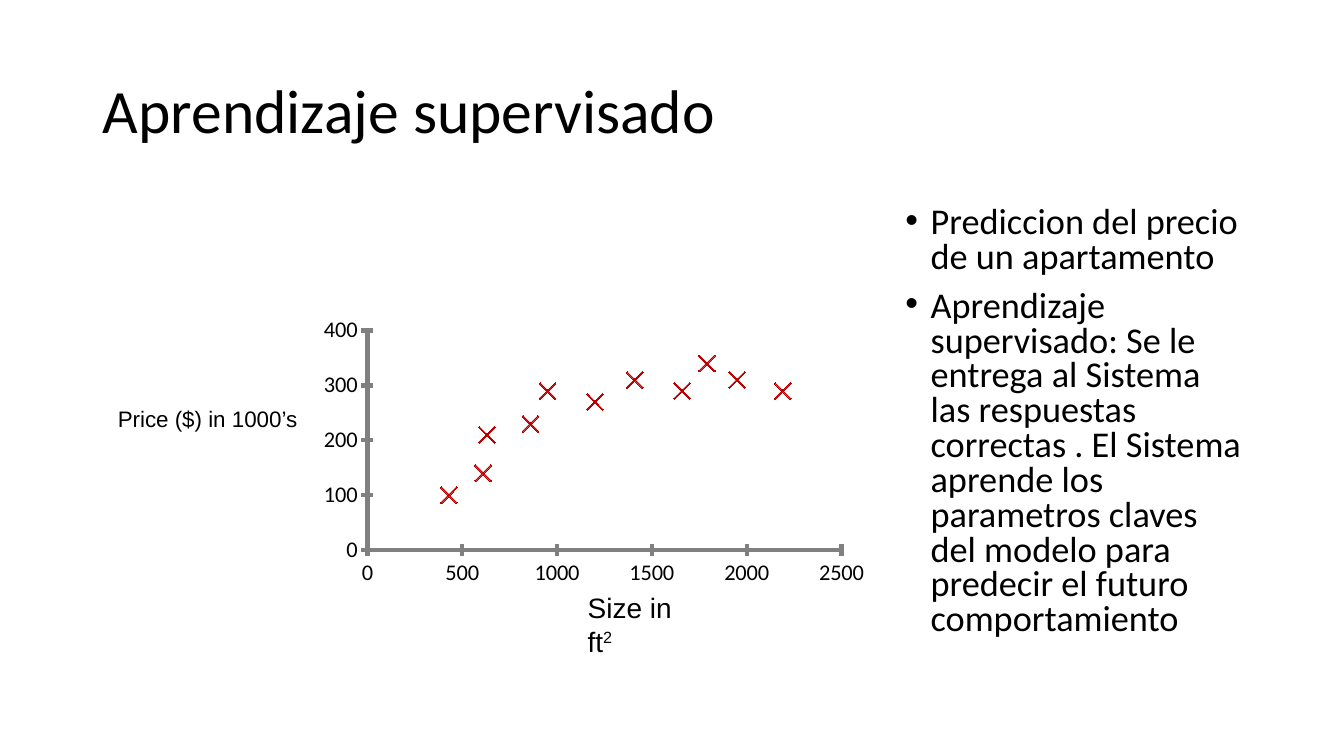
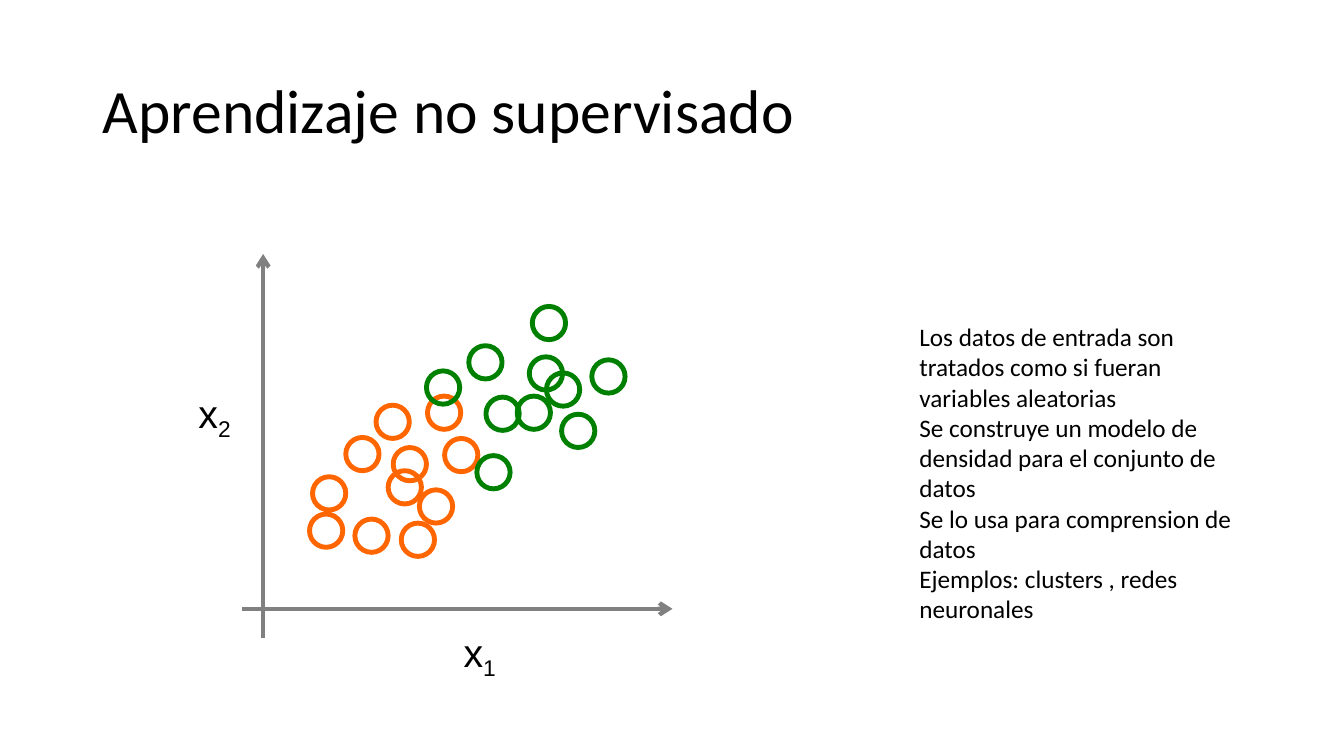
from dataclasses import dataclass

import lxml.etree
import pptx
import pptx.chart.axis
import pptx.chart.data
import pptx.dml.color
import pptx.enum.chart
import pptx.enum.dml
import pptx.enum.shapes
import pptx.enum.text
import pptx.oxml
import pptx.oxml.ns
import pptx.presentation
import pptx.shapes.base
import pptx.slide
import pptx.text.text
import pptx.util

PX = 9144  # EMU per px: 100 px to the inch
BLACK, GREY, RED = "000000", "808080", "C00000"
ORANGE, GREEN = "FF6600", "008000"
HEADING_FONT, LABEL_FONT = "Calibri", "Arial"
CIRCLE_SIZE = 33
TITLE_ONLY, TITLE_AND_BODY = 5, 1


@dataclass(frozen=True)
class Frame:
    left: int
    top: int
    width: int
    height: int

    def emu(self) -> tuple[int, int, int, int]:
        return self.left * PX, self.top * PX, self.width * PX, self.height * PX


@dataclass(frozen=True)
class Style:
    size: float
    font: str = HEADING_FONT
    color: str = BLACK


@dataclass(frozen=True)
class Label:
    frame: Frame
    style: Style
    text: str
    script: str = ""
    baseline: int = 0  # percent: above zero raised, below zero lowered


@dataclass(frozen=True)
class Cluster:
    color: str
    corners: tuple[tuple[int, int], ...]


@dataclass(frozen=True)
class Arrow:
    start: tuple[int, int]
    end: tuple[int, int]


TITLE_FRAME = Frame(92, 40, 1150, 145)
TITLE_STYLE = Style(44)
BODY_FRAME = Frame(888, 200, 354, 476)
BODY_STYLE = Style(25.9)
BODY_INDENT = 25
NOTES_FRAME = Frame(902, 314, 339, 343)
NOTES_STYLE = Style(18)
CHART_FRAME = Frame(282, 309, 606, 287)
PLOT_AREA = {"x": 0.136, "y": 0.066, "w": 0.776, "h": 0.759}

APARTMENTS = (
    (430, 100), (610, 140), (630, 210), (860, 230), (950, 290), (1200, 270),
    (1410, 310), (1660, 290), (1790, 340), (1950, 310), (2190, 290),
)
CHART_LABELS = (
    Label(Frame(107, 397, 200, 37), Style(16, LABEL_FONT), "Price ($) in 1000’s"),
    Label(Frame(573, 581, 117, 40), Style(20, LABEL_FONT), "Size in ft", "2", 30),
)
AXIS_LABELS = (
    Label(Frame(450, 618, 54, 57), Style(28, LABEL_FONT), "x", "1", -25),
    Label(Frame(187, 381, 54, 57), Style(28, LABEL_FONT), "x", "2", -25),
)
AXIS_ARROWS = (
    Arrow((261, 633), (261, 252)),
    Arrow((240, 604), (667, 604)),
)
CLUSTERS = (
    Cluster(ORANGE, (
        (310, 473), (385, 467), (352, 515), (343, 434), (390, 444), (416, 486),
        (373, 402), (441, 435), (398, 519), (424, 393), (307, 510),
    )),
    Cluster(GREEN, (
        (513, 393), (525, 354), (587, 357), (528, 304), (542, 370), (557, 411),
        (482, 394), (473, 452), (423, 368), (465, 343),
    )),
)
BULLETS = (
    "Prediccion del precio de un apartamento",
    "Aprendizaje supervisado: Se le entrega al Sistema las respuestas correctas . "
    "El Sistema aprende los parametros claves del modelo para predecir el futuro "
    "comportamiento",
)
NOTES = (
    "Los datos de entrada son",
    "tratados como si fueran variables aleatorias",
    "Se construye un modelo de densidad para el conjunto de datos",
    "Se lo usa para comprension de datos",
    "Ejemplos: clusters , redes neuronales",
)


def rgb(color: str) -> pptx.dml.color.RGBColor:
    return pptx.dml.color.RGBColor.from_string(color)


def place(shape: pptx.shapes.base.BaseShape, frame: Frame) -> None:
    shape.left, shape.top, shape.width, shape.height = frame.emu()


def style_font(font: pptx.text.text.Font, style: Style) -> None:
    font.size = pptx.util.Pt(style.size)
    font.name = style.font
    font.color.rgb = rgb(style.color)


def add_span(para, text: str, style: Style, baseline: int = 0) -> None:
    span = para.add_run()
    span.text = text
    style_font(span.font, style)
    if baseline:
        span._r.get_or_add_rPr().set("baseline", str(baseline * 1000))


def add_paragraphs(text_frame, texts: tuple[str, ...], style: Style) -> list:
    """Fill an empty text frame, one paragraph per text."""
    paras = []
    for index, text in enumerate(texts):
        para = text_frame.add_paragraph() if index else text_frame.paragraphs[0]
        add_span(para, text, style)
        paras.append(para)
    return paras


def add_titled_page(
    deck: pptx.presentation.Presentation, layout: int, title: str
) -> pptx.slide.Slide:
    page = deck.slides.add_slide(deck.slide_layouts[layout])
    box = page.shapes.title
    place(box, TITLE_FRAME)
    box.text_frame.vertical_anchor = pptx.enum.text.MSO_ANCHOR.MIDDLE
    box.text_frame.auto_size = pptx.enum.text.MSO_AUTO_SIZE.NONE
    (para,) = add_paragraphs(box.text_frame, (title,), TITLE_STYLE)
    para.alignment = pptx.enum.text.PP_ALIGN.LEFT
    para.line_spacing = 0.9
    return page


def fill_body(page: pptx.slide.Slide) -> None:
    box = page.placeholders[1]
    place(box, BODY_FRAME)
    box.text_frame.auto_size = pptx.enum.text.MSO_AUTO_SIZE.NONE
    for para in add_paragraphs(box.text_frame, BULLETS, BODY_STYLE):
        para.line_spacing = 0.8
        para.space_before = pptx.util.Pt(10)
        properties = para._p.get_or_add_pPr()
        properties.set("marL", str(BODY_INDENT * PX))
        properties.set("indent", str(-BODY_INDENT * PX))


def add_text_box(page: pptx.slide.Slide, frame: Frame):
    text_frame = page.shapes.add_textbox(*frame.emu()).text_frame
    text_frame.word_wrap = True
    text_frame.auto_size = pptx.enum.text.MSO_AUTO_SIZE.SHAPE_TO_FIT_TEXT
    return text_frame


def add_label(page: pptx.slide.Slide, label: Label) -> None:
    text_frame = add_text_box(page, label.frame)
    (para,) = add_paragraphs(text_frame, (label.text,), label.style)
    if label.script:
        add_span(para, label.script, label.style, label.baseline)


def format_axis(axis: pptx.chart.axis.ValueAxis, maximum: int, step: int) -> None:
    axis.minimum_scale, axis.maximum_scale, axis.major_unit = 0, maximum, step
    axis.has_major_gridlines = False
    axis.has_title = False
    axis.major_tick_mark = pptx.enum.chart.XL_TICK_MARK.CROSS
    axis.minor_tick_mark = pptx.enum.chart.XL_TICK_MARK.NONE
    axis.format.line.color.rgb = rgb(GREY)
    axis.format.line.width = pptx.util.Pt(3)
    style_font(axis.tick_labels.font, Style(16))


def fix_plot_area(chart) -> None:
    """Give the inner plot area its share of the chart."""
    plot_area = chart._chartSpace.chart.plotArea
    for old in plot_area.findall(pptx.oxml.ns.qn("c:layout")):
        plot_area.remove(old)
    layout = lxml.etree.Element(pptx.oxml.ns.qn("c:layout"))
    manual = lxml.etree.SubElement(layout, pptx.oxml.ns.qn("c:manualLayout"))
    settings = {"layoutTarget": "inner", "xMode": "edge", "yMode": "edge", **PLOT_AREA}
    for name, value in settings.items():
        item = lxml.etree.SubElement(manual, pptx.oxml.ns.qn(f"c:{name}"))
        item.set("val", str(value))
    plot_area.insert(0, layout)


def add_price_chart(page: pptx.slide.Slide) -> None:
    data = pptx.chart.data.XyChartData()
    prices = data.add_series("Series 1")
    for size, price in APARTMENTS:
        prices.add_data_point(size, price)
    chart = page.shapes.add_chart(
        pptx.enum.chart.XL_CHART_TYPE.XY_SCATTER, *CHART_FRAME.emu(), data
    ).chart
    chart.has_legend = False
    chart.has_title = False
    style_font(chart.font, Style(10))
    chart.plots[0].vary_by_categories = False
    format_axis(chart.category_axis, 2500, 500)
    format_axis(chart.value_axis, 400, 100)
    fix_plot_area(chart)

    series = chart.plots[0].series[0]
    series.smooth = False
    series.format.line.fill.background()
    marker = series.marker
    marker.style = pptx.enum.chart.XL_MARKER_STYLE.X
    marker.size = 12
    marker.format.fill.solid()
    marker.format.fill.fore_color.rgb = rgb(RED)
    marker.format.line.color.rgb = rgb(RED)


def add_arrow(page: pptx.slide.Slide, arrow: Arrow) -> None:
    ends = [length * PX for length in (*arrow.start, *arrow.end)]
    line = page.shapes.add_connector(pptx.enum.shapes.MSO_CONNECTOR.STRAIGHT, *ends)
    line.line.color.rgb = rgb(GREY)
    line.line.width = pptx.util.Pt(3)
    head = lxml.etree.SubElement(
        line.line._get_or_add_ln(), pptx.oxml.ns.qn("a:tailEnd")
    )
    head.set("type", "arrow")
    lxml.etree.SubElement(line._element.spPr, pptx.oxml.ns.qn("a:effectLst"))


def add_cluster(page: pptx.slide.Slide, cluster: Cluster) -> None:
    for left, top in cluster.corners:
        circle = page.shapes.add_shape(
            pptx.enum.shapes.MSO_SHAPE.OVAL,
            *Frame(left, top, CIRCLE_SIZE, CIRCLE_SIZE).emu(),
        )
        circle.shadow.inherit = False
        circle.fill.background()
        circle.line.color.rgb = rgb(cluster.color)
        circle.line.width = pptx.util.Pt(3.5)


def build_supervised(deck: pptx.presentation.Presentation) -> None:
    page = add_titled_page(deck, TITLE_AND_BODY, "Aprendizaje supervisado")
    fill_body(page)
    add_price_chart(page)
    for label in CHART_LABELS:
        add_label(page, label)


def build_unsupervised(deck: pptx.presentation.Presentation) -> None:
    page = add_titled_page(deck, TITLE_ONLY, "Aprendizaje no supervisado")
    for label in AXIS_LABELS:
        add_label(page, label)
    for arrow in AXIS_ARROWS:
        add_arrow(page, arrow)
    for cluster in CLUSTERS:
        add_cluster(page, cluster)
    add_paragraphs(add_text_box(page, NOTES_FRAME), NOTES, NOTES_STYLE)


def main() -> None:
    deck = pptx.Presentation()
    deck.slide_width, deck.slide_height = 1333 * PX, 750 * PX
    build_supervised(deck)
    build_unsupervised(deck)
    deck.save("out.pptx")


if __name__ == "__main__":
    main()
